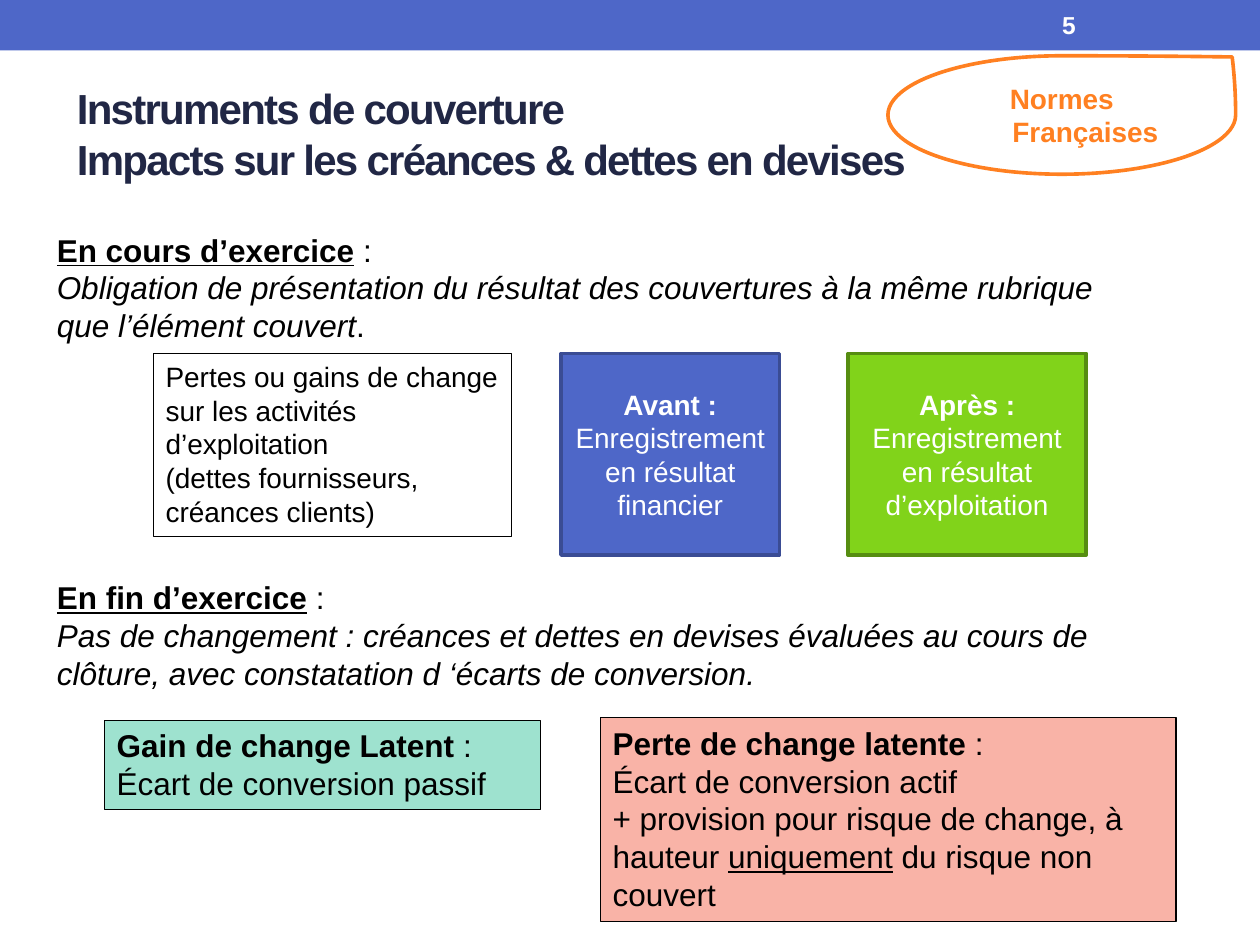
from pptx import Presentation
from pptx.dml.color import RGBColor
from pptx.enum.shapes import MSO_SHAPE as Preset
from pptx.enum.text import MSO_ANCHOR as Anchor, MSO_AUTO_SIZE as AutoSize, PP_ALIGN as Align
from pptx.util import Pt

BLUE = RGBColor(0x4E, 0x67, 0xC8)
DARK_BLUE = RGBColor(0x3A, 0x4C, 0x94)
NAVY = RGBColor(0x21, 0x27, 0x45)
GREEN = RGBColor(0x81, 0xD3, 0x1A)
DARK_GREEN = RGBColor(0x56, 0x8D, 0x11)
ORANGE = RGBColor(0xFF, 0x80, 0x21)
MINT = RGBColor(0x9E, 0xE2, 0xCF)
SALMON = RGBColor(0xF9, 0xB3, 0xA7)
BLACK = RGBColor(0, 0, 0)
WHITE = RGBColor(0xFF, 0xFF, 0xFF)


def add_box(preset, place, fill=None, line=None, weight=0.75):
    box = page.shapes.add_shape(preset, *map(Pt, place))
    box.shadow.inherit = False
    if fill is None:
        box.fill.background()
    else:
        box.fill.solid()
        box.fill.fore_color.rgb = fill
    if line is None:
        box.line.fill.background()
    else:
        box.line.color.rgb = line
        box.line.width = Pt(weight)
    return box


def write(box, paragraphs, size, color=BLACK, align=Align.LEFT, anchor=Anchor.TOP):
    """Fill box with paragraphs of (text, style) spans; style letters are b, i, u and n (new line first)."""
    frame = box.text_frame
    frame.word_wrap = True
    frame.auto_size = AutoSize.NONE
    frame.vertical_anchor = anchor
    for index, spans in enumerate(paragraphs):
        para = frame.add_paragraph() if index else frame.paragraphs[0]
        para.alignment = align
        for text, style in spans:
            if "n" in style:
                para.add_line_break()
            span = para.add_run()
            span.text = text
            span.font.name = "Arial"
            span.font.size = Pt(size)
            span.font.color.rgb = color
            span.font.bold = "b" in style
            span.font.italic = "i" in style
            span.font.underline = "u" in style


deck = Presentation()
deck.slide_width, deck.slide_height = Pt(720), Pt(540)
page = deck.slides.add_slide(deck.slide_layouts[5])

# Header band, slide number and title
add_box(Preset.RECTANGLE, (0, 0, 720, 28.8), BLUE)

number = page.shapes.add_textbox(Pt(599.8), Pt(1.4), Pt(84.2), Pt(26))
write(number, [[("5", "b")]], 14, WHITE, anchor=Anchor.MIDDLE)

title = page.shapes.title
title.left, title.top, title.width, title.height = Pt(36.7), Pt(31.2), Pt(504.7), Pt(90)
title.text_frame.text = "Instruments de couverture\vImpacts sur les créances & dettes en devises"
title.text_frame.auto_size = AutoSize.NONE
title.text_frame.vertical_anchor = Anchor.MIDDLE
title_para = title.text_frame.paragraphs[0]
title_para.alignment = Align.LEFT
for span in title_para.runs:
    span.font.name = "Arial"
    span.font.size = Pt(24)
    span.font.bold = True
    span.font.color.rgb = NAVY
    span.font._element.set("spc", "-100")

# Standards badge
badge = add_box(Preset.TEAR, (507.4, 31.9, 198.7, 67.7), WHITE, ORANGE, 2.08)
badge.adjustments[0] = 0.98
write(badge, [[("Normes Françaises", "b")]], 16, ORANGE, Align.CENTER, Anchor.MIDDLE)
badge_format = badge.text_frame.paragraphs[0]._p.get_or_add_pPr()
badge_format.set("marL", str(Pt(27)))
badge_format.set("indent", str(-Pt(27)))

# The two periods
periods = [
    ((25.4, 128.2, 629.3, 138.2), "En cours d’exercice",
     [("Obligation de présentation du résultat des couvertures à la même rubrique "
       "que l’élément couvert", "i"), (".", "")]),
    ((25.4, 326.9, 663.1, 72.7), "En fin d’exercice",
     [("Pas de changement : créances et dettes en devises évaluées au cours de "
       "clôture, avec constatation d ‘écarts de conversion.", "i")]),
]
for place, heading, body in periods:
    box = page.shapes.add_textbox(*map(Pt, place))
    write(box, [[(heading, "bu"), (" :", "")], body], 18)

# Operating result: before and after
scope = add_box(Preset.RECTANGLE, (87.6, 202, 204.6, 104.4), line=BLACK)
write(scope, [[("Pertes ou gains de change sur les activités d’exploitation", ""),
               ("(dettes fournisseurs, créances clients)", "n")]], 16)

stages = [
    (320.6, 124.8, BLUE, DARK_BLUE, "Avant :", "Enregistrement en résultat financier"),
    (484.6, 136.1, GREEN, DARK_GREEN, "Après :", "Enregistrement en résultat d’exploitation"),
]
for left, width, fill, line, heading, body in stages:
    box = add_box(Preset.RECTANGLE, (left, 202, width, 115.2), fill, line, 2.08)
    write(box, [[(heading, "b")], [(body, "")]], 16, WHITE, Align.CENTER, Anchor.MIDDLE)

# Year-end treatment of unrealised gains and losses
outcomes = [
    ((59.6, 411.6, 249.1, 51), MINT,
     [[("Gain de change Latent", "b"), (" :", "")],
      [("Écart de conversion passif", "")]]),
    ((343, 410, 329, 116.6), SALMON,
     [[("Perte de change latente", "b"), (" :", "")],
      [("Écart de conversion actif", "")],
      [("+ provision pour risque de change, à hauteur ", ""), ("uniquement", "u"),
       (" du risque non couvert", "")]]),
]
for place, fill, paragraphs in outcomes:
    write(add_box(Preset.RECTANGLE, place, fill, BLACK), paragraphs, 18)

deck.save("out.pptx")
